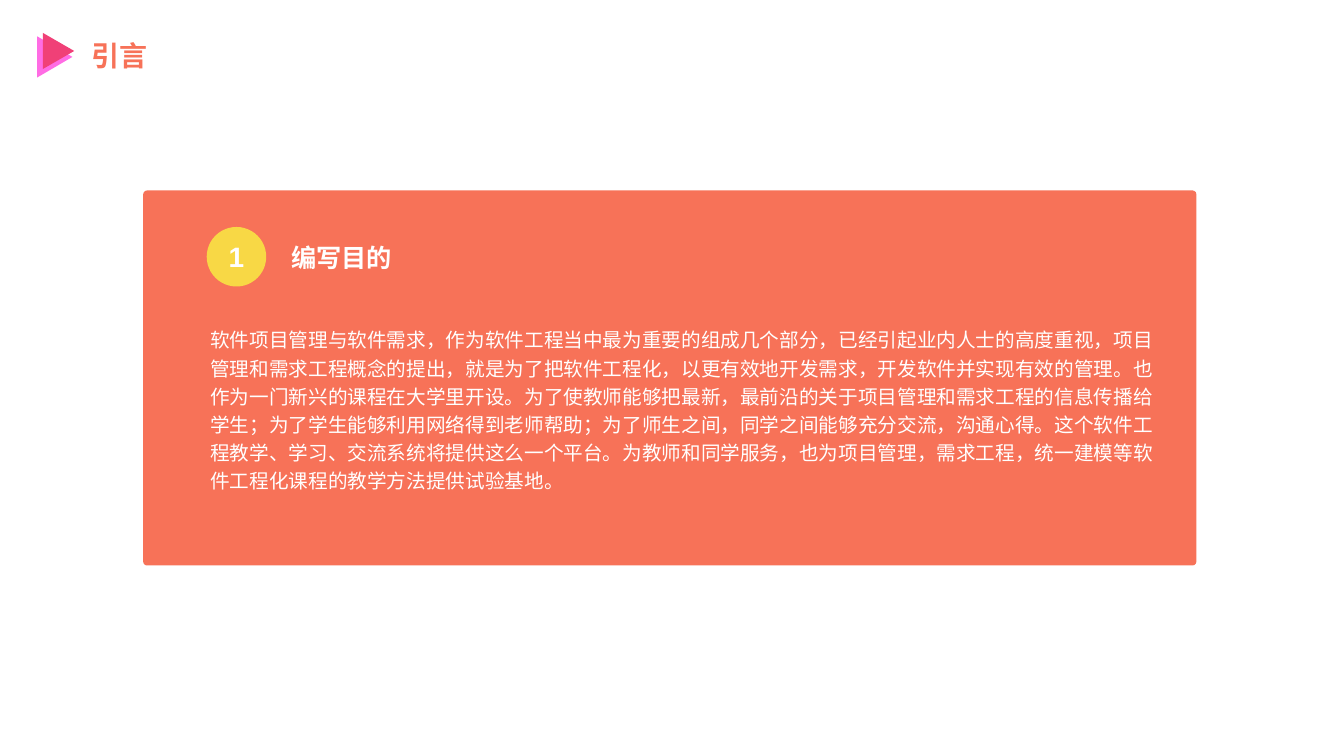
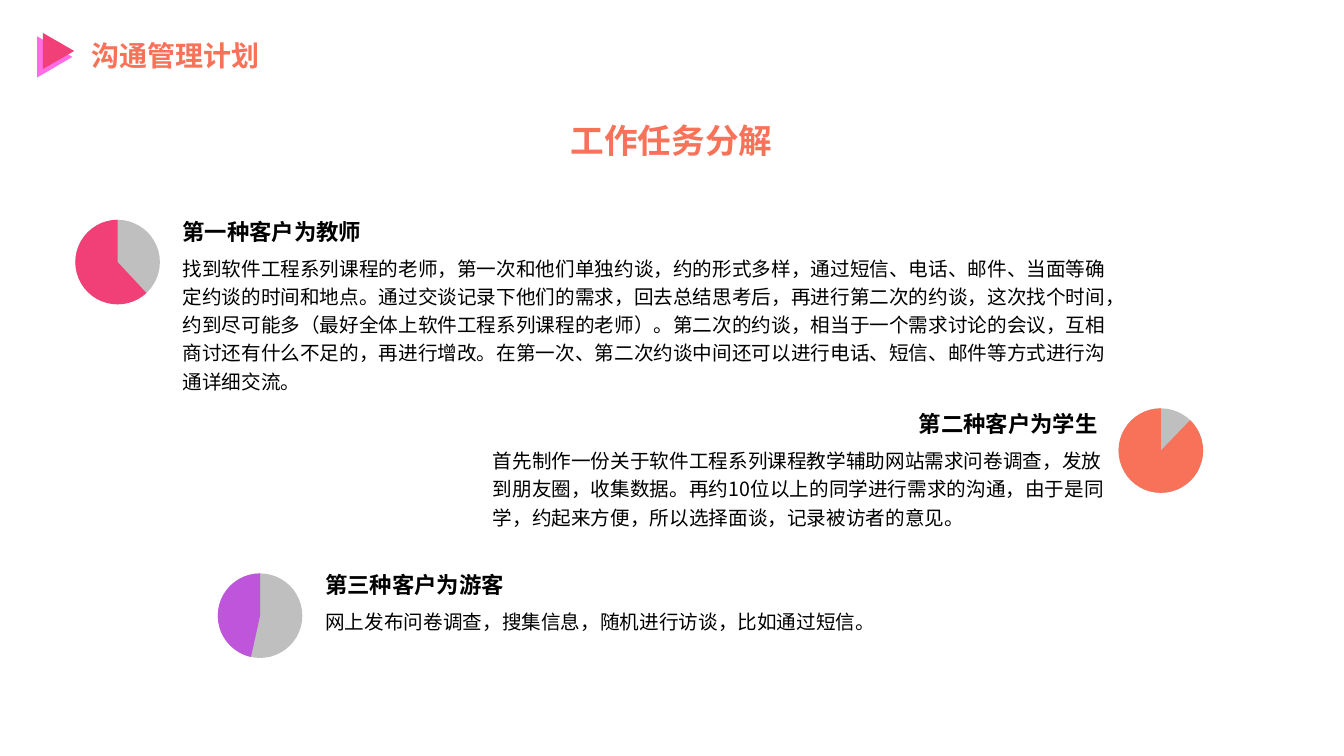
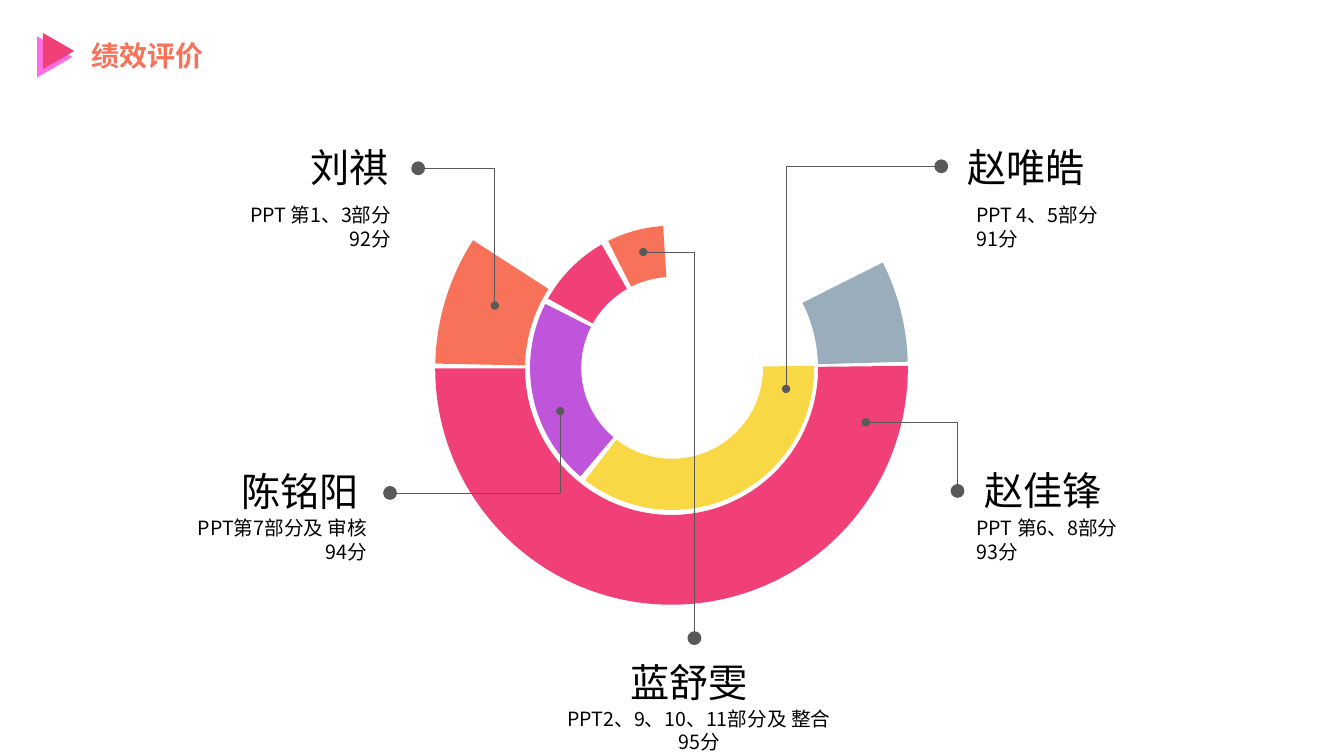
from dataclasses import dataclass
from itertools import pairwise

from lxml.etree import SubElement
from pptx import Presentation
from pptx.dml.color import RGBColor
from pptx.enum.lang import MSO_LANGUAGE_ID
from pptx.enum.shapes import MSO_CONNECTOR, MSO_SHAPE
from pptx.enum.text import MSO_ANCHOR, MSO_AUTO_SIZE, PP_ALIGN
from pptx.oxml.ns import qn
from pptx.util import Cm, Pt

LEFT, CENTER, RIGHT = PP_ALIGN.LEFT, PP_ALIGN.CENTER, PP_ALIGN.RIGHT


@dataclass(frozen=True)
class Theme:
    coral: str = "F77258"
    rose: str = "F04077"
    pink: str = "FF6CE4"
    yellow: str = "F8D845"
    violet: str = "BF55DB"
    steel: str = "99AEBA"
    grey: str = "BFBFBF"
    line: str = "595959"
    black: str = "000000"
    white: str = "FFFFFF"
    latin_font: str = "Arial"
    font: str = "Noto Sans CJK SC"
    name_size: int = 28
    headline_size: int = 24
    title_size: int = 20
    card_size: int = 18
    heading_size: int = 16
    body_size: int = 14


THEME = Theme()


class DeckBuilder:
    def __init__(self, theme):
        self.theme = theme
        self.deck = Presentation()
        self.deck.slide_width, self.deck.slide_height = Cm(33.87), Cm(19.05)
        self.page = None

    def add_page(self, title):
        """Start a slide with the double triangle and its title."""
        theme = self.theme
        self.page = self.deck.slides.add_slide(self.deck.slide_layouts[6])
        for area, color in (((0.86, 0.99, 1.04, 0.89), theme.pink),
                            ((1.02, 0.89, 0.91, 0.79), theme.rose)):
            self.shape(MSO_SHAPE.ISOSCELES_TRIANGLE, area, color).rotation = 90
        self.text((2.06, 0.84, 8.38, 1.12), title, theme.title_size,
                  theme.coral, bold=True)

    def shape(self, kind, area, color, adjustments=()):
        shape = self.page.shapes.add_shape(kind, *map(Cm, area))
        shape.shadow.inherit = False
        shape.fill.solid()
        shape.fill.fore_color.rgb = RGBColor.from_string(color)
        shape.line.fill.background()
        for index, value in enumerate(adjustments):
            shape.adjustments[index] = value
        return shape

    def arc(self, kind, area, color, start, end, *thickness):
        """Draw a sector; start and end are clockwise degrees from the right."""
        # A stored angle unit is 1/60000 degree, an adjustment unit 1/100000.
        return self.shape(kind, area, color, (start * 0.6, end * 0.6, *thickness))

    def fill_frame(self, frame, content, size, color, bold=False, font=None,
                   align=LEFT, spacing=None):
        for index, line in enumerate(content.split("\n")):
            para = frame.add_paragraph() if index else frame.paragraphs[0]
            para.alignment = align
            if spacing:
                para.line_spacing = spacing
            span = para.add_run()
            span.text = line
            formats = {"size": Pt(size), "bold": bold,
                       "name": font or self.theme.font,
                       "language_id": MSO_LANGUAGE_ID.SIMPLIFIED_CHINESE}
            for key, value in formats.items():
                setattr(span.font, key, value)
            span.font.color.rgb = RGBColor.from_string(color)
            east_asian = SubElement(span.font._element, qn("a:ea"))
            east_asian.set("typeface", self.theme.font)

    def text(self, area, content, size, color, wrap=True, inset=True, **style):
        box = self.page.shapes.add_textbox(*map(Cm, area))
        frame = box.text_frame
        formats = {"word_wrap": wrap, "auto_size": MSO_AUTO_SIZE.SHAPE_TO_FIT_TEXT}
        if not inset:
            formats.update(dict.fromkeys(
                ("margin_left", "margin_top", "margin_right", "margin_bottom"), 0))
        for key, value in formats.items():
            setattr(frame, key, value)
        self.fill_frame(frame, content, size, color, **style)

    def badge(self, area, label):
        theme = self.theme
        frame = self.shape(MSO_SHAPE.OVAL, area, theme.yellow).text_frame
        frame.vertical_anchor = MSO_ANCHOR.MIDDLE
        self.fill_frame(frame, label, theme.title_size, theme.white, bold=True,
                        font=theme.latin_font, align=CENTER)

    def leader(self, points):
        """Draw joined lines with a small dot at the start, a large one at the end."""
        last = len(points) - 2
        for index, (begin, end) in enumerate(pairwise(points)):
            connector = self.page.shapes.add_connector(
                MSO_CONNECTOR.STRAIGHT, *map(Cm, (*begin, *end)))
            connector.line.width = Pt(0.5)
            connector.line.color.rgb = RGBColor.from_string(self.theme.line)
            outline = connector.line._get_or_add_ln()
            if index == 0:
                SubElement(outline, qn("a:headEnd"), type="oval", w="med", len="med")
            if index == last:
                SubElement(outline, qn("a:tailEnd"), type="oval", w="lg", len="lg")
            SubElement(connector._element.spPr, qn("a:effectLst"))

    def customer(self, pie, color, start, heading, heading_box, body, body_box,
                 align=LEFT):
        """Place a pie with a heading and a body; boxes are (left, width)."""
        theme = self.theme
        left, top, heading_top = pie
        area = (left, top, 2.13, 2.13)
        self.shape(MSO_SHAPE.OVAL, area, theme.grey)
        self.arc(MSO_SHAPE.PIE, area, color, start, 270)
        self.text((heading_box[0], heading_top, heading_box[1], 0.69), heading,
                  theme.heading_size, theme.black, inset=False, bold=True,
                  font=theme.latin_font, align=align)
        self.text((body_box[0], heading_top + 0.86, body_box[1], 1.37), body,
                  theme.body_size, theme.black, inset=False, spacing=1.2)

    def member(self, name, name_area, detail, detail_area, align, points):
        theme = self.theme
        self.leader(points)
        self.text((*name_area, 1.45), name, theme.name_size, theme.black,
                  wrap=False, align=align)
        self.text((*detail_area, 1.45), detail, theme.body_size, theme.black,
                  align=align)


def introduction(builder):
    builder.add_page("引言")
    builder.shape(MSO_SHAPE.ROUNDED_RECTANGLE, (3.61, 4.8, 26.54, 9.45),
                  THEME.coral, (0.01,))
    builder.badge((5.21, 5.72, 1.5, 1.5), "1")
    builder.text((7.09, 5.97, 5.46, 1.02), "编写目的", THEME.card_size,
                 THEME.white, bold=True, font=THEME.latin_font)
    builder.text(
        (5.05, 8.03, 24.41, 4.5),
        "软件项目管理与软件需求，作为软件工程当中最为重要的组成几个部分，已经引起业内人士的高度重视，"
        "项目管理和需求工程概念的提出，就是为了把软件工程化，以更有效地开发需求，开发软件并实现有效的管理。"
        "也作为一门新兴的课程在大学里开设。为了使教师能够把最新，最前沿的关于项目管理和需求工程的信息传播给学生；"
        "为了学生能够利用网络得到老师帮助；为了师生之间，同学之间能够充分交流，沟通心得。"
        "这个软件工程教学、学习、交流系统将提供这么一个平台。为教师和同学服务，也为项目管理，需求工程，"
        "统一建模等软件工程化课程的教学方法提供试验基地。",
        THEME.body_size, THEME.white, spacing=1.2)


def communication_plan(builder):
    builder.add_page("沟通管理计划")
    builder.text((12.01, 2.9, 9.83, 1.27), "工作任务分解", THEME.headline_size,
                 THEME.coral, bold=True, align=CENTER)
    builder.customer(
        (1.9, 5.54, 5.49), THEME.rose, 46.98, "第一种客户为教师", (4.6, 18.39),
        "找到软件工程系列课程的老师，第一次和他们单独约谈，约的形式多样，通过短信、电话、邮件、当面等"
        "确定约谈的时间和地点。通过交谈记录下他们的需求，回去总结思考后，再进行第二次的约谈，"
        "这次找个时间，约到尽可能多（最好全体上软件工程系列课程的老师）。第二次的约谈，"
        "相当于一个需求讨论的会议，互相商讨还有什么不足的，再进行增改。"
        "在第一次、第二次约谈中间还可以进行电话、短信、邮件等方式进行沟通详细交流。",
        (4.6, 23.67))
    builder.customer(
        (28.19, 10.29, 10.34), THEME.coral, 313.94, "第二种客户为学生", (12.95, 14.71),
        "首先制作一份关于软件工程系列课程教学辅助网站需求问卷调查，发放到朋友圈，收集数据。"
        "再约10位以上的同学进行需求的沟通，由于是同学，约起来方便，所以选择面谈，记录被访者的意见。",
        (12.42, 15.77), RIGHT)
    builder.customer(
        (5.49, 14.45, 14.4), THEME.violet, 102.38, "第三种客户为游客", (8.2, 16.38),
        "网上发布问卷调查，搜集信息，随机进行访谈，比如通过短信。", (8.2, 19.51))


def performance(builder):
    builder.add_page("绩效评价")
    outer, inner = (10.97, 3.33, 11.91, 11.91), (13.36, 5.69, 7.16, 7.16)
    rings = (
        (outer, 0.19, ((THEME.rose, 359.38, 180), (THEME.coral, 181.17, 212.84),
                       (THEME.steel, 333.39, 358.37))),
        (inner, 0.18, ((THEME.violet, 130.21, 206.73), (THEME.yellow, 359.17, 127.75),
                       (THEME.rose, 209.19, 240.21), (THEME.coral, 243.22, 266.37))),
    )
    for area, thickness, sectors in rings:
        for color, start, end in sectors:
            builder.arc(MSO_SHAPE.BLOCK_ARC, area, color, start, end, thickness)

    members = (
        ("赵唯皓", (24.13, 3.48, 3.51), "PPT 4、5部分\n91分", (24.36, 5, 6.22), LEFT,
         ((19.81, 9.8), (19.81, 4.19), (23.72, 4.19))),
        ("刘祺", (7.54, 3.48, 2.51), "PPT 第1、3部分\n92分", (1.85, 5, 8.26), RIGHT,
         ((12.47, 7.7), (12.47, 4.24), (10.54, 4.24))),
        ("陈铭阳", (5.79, 11.66, 3.51), "PPT第7部分及 审核\n94分", (1.09, 12.88, 8.41), RIGHT,
         ((14.12, 10.36), (14.12, 12.42), (9.83, 12.42))),
        ("赵佳锋", (24.56, 11.63, 3.51), "PPT 第6、8部分\n93分", (24.36, 12.88, 6.22), LEFT,
         ((21.82, 10.64), (24.13, 10.64), (24.13, 12.37))),
        ("蓝舒雯", (15.62, 16.46, 3.51), "PPT2、9、10、11部分及 整合\n95分",
         (13.36, 17.68, 8.51), CENTER,
         ((16.21, 6.35), (17.5, 6.35), (17.5, 16.08))),
    )
    for member in members:
        builder.member(*member)


def main():
    builder = DeckBuilder(THEME)
    for build_page in (introduction, communication_plan, performance):
        build_page(builder)
    builder.deck.save("out.pptx")


if __name__ == "__main__":
    main()
